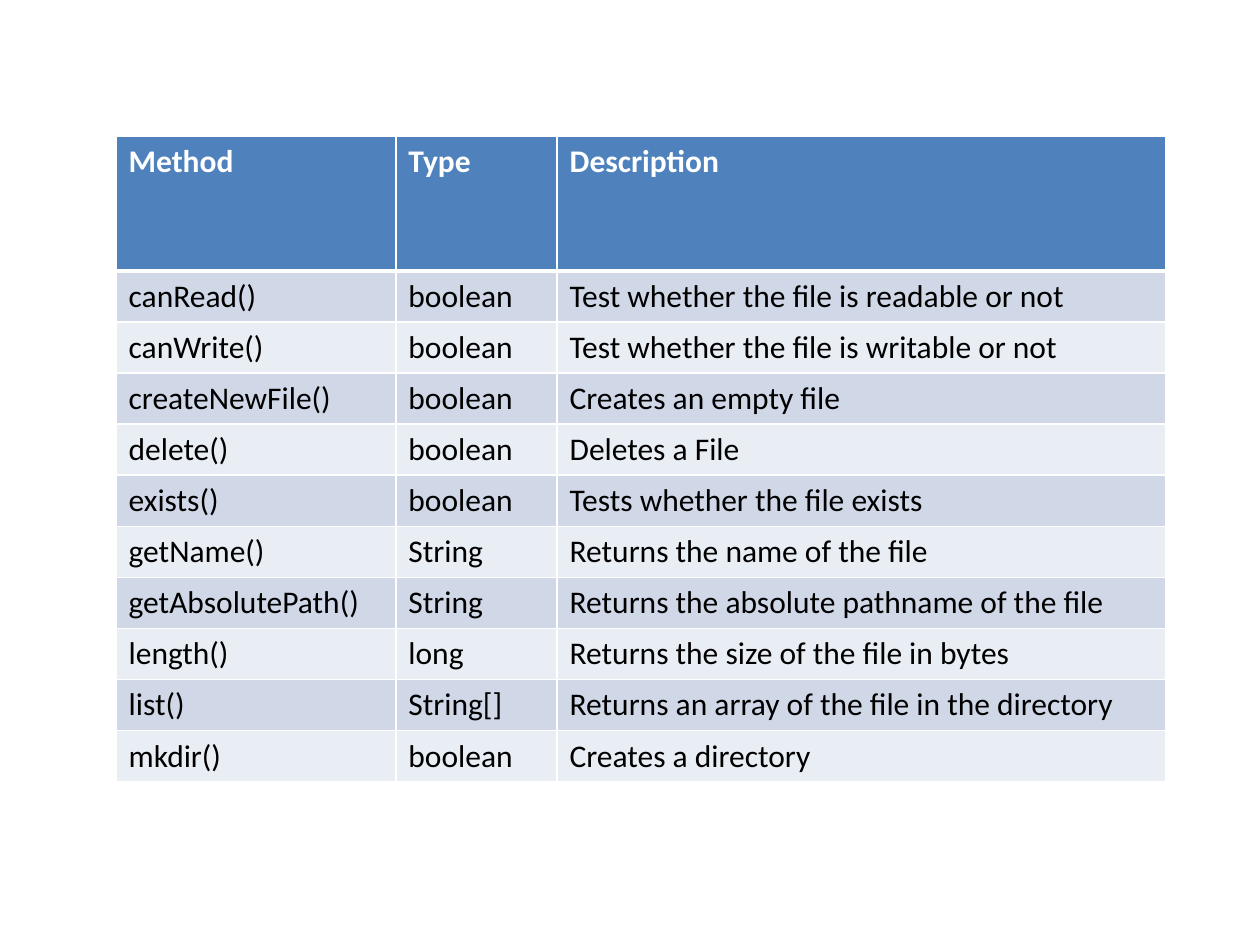
from dataclasses import astuple, dataclass

from lxml import etree
from pptx import Presentation
from pptx import util as u
from pptx.dml import color
from pptx.oxml import ns

COLORS = {
    "header": "4F81BD",
    "odd": "D0D8E8",
    "even": "E9EDF4",
    "border": "FFFFFF",
    "header_text": "FFFFFF",
    "body_text": "000000",
}
COLUMN_WIDTHS = (5.64, 3.25, 12.27)
HEADER_HEIGHT, BODY_HEIGHT = 2.72, 1.03
TABLE_LEFT, TABLE_TOP = 2.34, 2.74
THIN, THICK = 1, 3


@dataclass(frozen=True)
class MethodRow:
    method: str
    kind: str
    description: str


ROWS = [
    MethodRow("Method", "Type", "Description"),
    MethodRow("canRead()", "boolean", "Test whether the file is readable or not"),
    MethodRow("canWrite()", "boolean", "Test whether the file is writable or not"),
    MethodRow("createNewFile()", "boolean", "Creates an empty file"),
    MethodRow("delete()", "boolean", "Deletes a File"),
    MethodRow("exists()", "boolean", "Tests whether the file exists"),
    MethodRow("getName()", "String", "Returns the name of the file"),
    MethodRow("getAbsolutePath()", "String", "Returns the absolute pathname of the file"),
    MethodRow("length()", "long", "Returns the size of the file in bytes"),
    MethodRow("list()", "String[]", "Returns an array of the file in the directory"),
    MethodRow("mkdir()", "boolean", "Creates a directory"),
]


def set_borders(cell, top: int, bottom: int) -> None:
    """Give a cell solid borders, with widths in points."""
    properties = cell._tc.get_or_add_tcPr()
    widths = {"a:lnL": THIN, "a:lnR": THIN, "a:lnT": top, "a:lnB": bottom}
    for tag, width in widths.items():
        line = etree.SubElement(properties, ns.qn(tag), w=str(u.Pt(width)))
        fill = etree.SubElement(line, ns.qn("a:solidFill"))
        etree.SubElement(fill, ns.qn("a:srgbClr"), val=COLORS["border"])


def fill_cell(cell, wording: str, row_index: int) -> None:
    """Write and format one cell according to its row."""
    is_header = row_index == 0
    set_borders(cell, THICK if row_index == 1 else THIN, THICK if is_header else THIN)
    band = "header" if is_header else ("odd" if row_index % 2 else "even")
    cell.fill.solid()
    cell.fill.fore_color.rgb = color.RGBColor.from_string(COLORS[band])
    run = cell.text_frame.paragraphs[0].add_run()
    run.text = wording
    font_format = {"name": "Calibri", "size": u.Pt(18), "bold": is_header}
    for attribute, value in font_format.items():
        setattr(run.font, attribute, value)
    text_color = COLORS["header_text" if is_header else "body_text"]
    run.font.color.rgb = color.RGBColor.from_string(text_color)


def add_method_table(slide) -> None:
    """Draw the table of file methods."""
    heights = [HEADER_HEIGHT] + [BODY_HEIGHT] * (len(ROWS) - 1)
    table = slide.shapes.add_table(
        len(ROWS), len(COLUMN_WIDTHS), u.Cm(TABLE_LEFT), u.Cm(TABLE_TOP),
        u.Cm(sum(COLUMN_WIDTHS)), u.Cm(sum(heights)),
    ).table
    for column, width in zip(table.columns, COLUMN_WIDTHS):
        column.width = u.Cm(width)
    for row_index, (row, height) in enumerate(zip(ROWS, heights)):
        table.rows[row_index].height = u.Cm(height)
        for column_index, wording in enumerate(astuple(row)):
            fill_cell(table.cell(row_index, column_index), wording, row_index)


def main() -> None:
    """Build and save the presentation."""
    presentation = Presentation()
    presentation.slide_width = u.Cm(25.4)
    presentation.slide_height = u.Cm(19.05)
    slide = presentation.slides.add_slide(presentation.slide_layouts[6])
    add_method_table(slide)
    presentation.save("out.pptx")


main()
